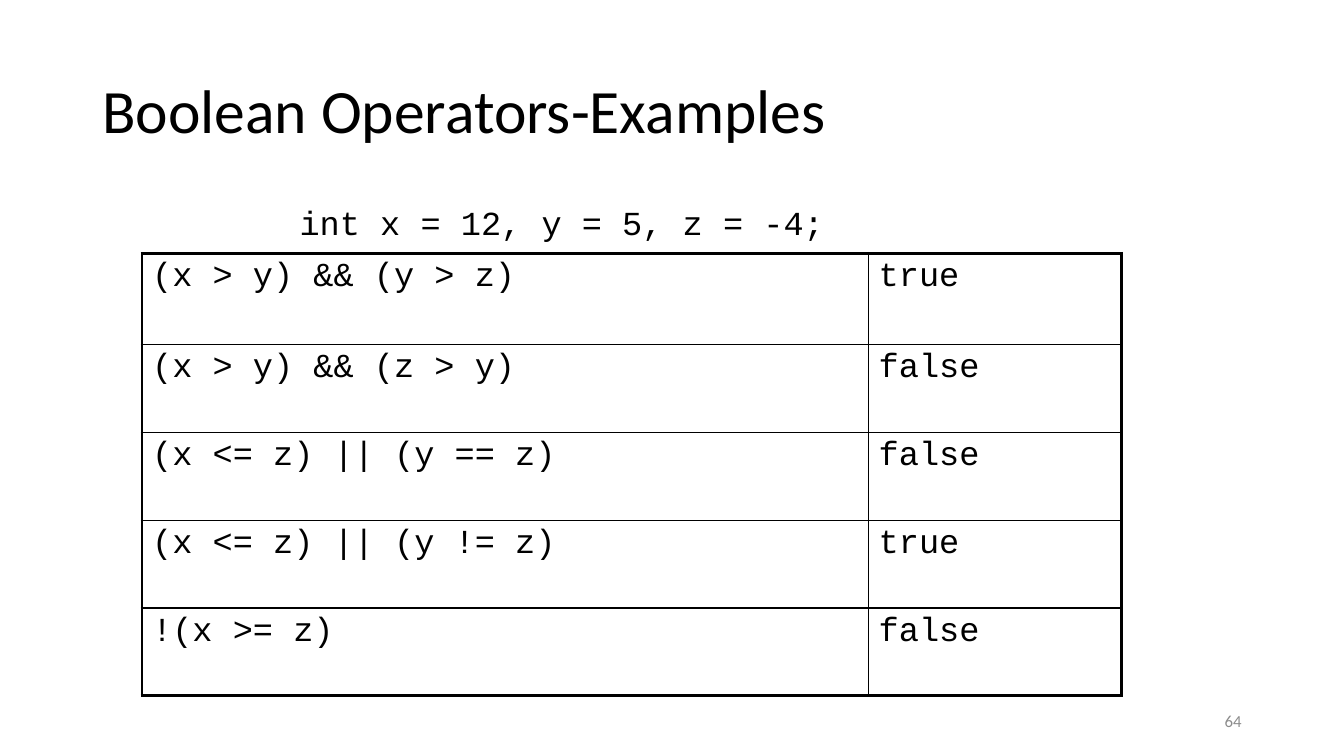
"""Build the slide of Boolean operator examples."""
from dataclasses import dataclass

from lxml import etree
from pptx import Presentation
from pptx.dml.color import RGBColor
from pptx.enum import text
from pptx.oxml import ns
from pptx.slide import Slide
from pptx.table import _Cell
from pptx.text.text import _Paragraph
from pptx.util import Cm, Pt


@dataclass(frozen=True)
class Style:
    font: str
    size: float
    color: str = "000000"


@dataclass(frozen=True)
class Theme:
    title: Style = Style("Calibri", 44)
    code: Style = Style("Courier New", 24)
    number: Style = Style("Calibri", 12, "8C8C8C")
    border: str = "000000"
    outer: float = 2.25
    inner: float = 1


@dataclass(frozen=True)
class Label:
    words: str
    left: float
    top: float
    width: float
    height: float
    style: Style
    anchor: text.MSO_ANCHOR = text.MSO_ANCHOR.MIDDLE
    align: text.PP_ALIGN = text.PP_ALIGN.LEFT
    spacing: float = 1
    before: float = 0


@dataclass(frozen=True)
class Example:
    expression: str
    result: str


THEME = Theme()
LABELS = [
    Label("Boolean Operators-Examples", 2.33, 1.01, 29.21, 3.68, THEME.title,
          spacing=0.9),
    Label("int x = 12, y = 5, z = -4;", 7.3, 5.16, 19.95, 1.1, THEME.code,
          anchor=text.MSO_ANCHOR.TOP, spacing=0.8, before=4.8),
    Label("64", 23.92, 17.66, 7.62, 1.01, THEME.number,
          align=text.PP_ALIGN.RIGHT),
]
EXAMPLES = [
    Example("(x > y) && (y > z)", "true"),
    Example("(x > y) && (z > y)", "false"),
    Example("(x <= z) || (y == z)", "false"),
    Example("(x <= z) || (y != z)", "true"),
    Example("!(x >= z)", "false"),
]
TABLE_LEFT, TABLE_TOP = 3.58, 6.38
COLUMN_WIDTHS = (18.31, 6.38)
FIRST_ROW, OTHER_ROWS = 2.31, 2.21


def apply_style(p: _Paragraph, style: Style) -> None:
    p.font.name = style.font
    p.font.size = Pt(style.size)
    p.font.color.rgb = RGBColor.from_string(style.color)


def add_label(slide: Slide, label: Label) -> None:
    sp = slide.shapes.add_textbox(Cm(label.left), Cm(label.top),
                                  Cm(label.width), Cm(label.height))
    tf = sp.text_frame
    tf.word_wrap = True
    tf.vertical_anchor = label.anchor
    p = tf.paragraphs[0]
    p.text = label.words
    p.alignment = label.align
    p.line_spacing = label.spacing
    p.space_before = Pt(label.before)
    apply_style(p, label.style)


def add_border(cell: _Cell, side: str, width: float) -> None:
    props = cell._tc.get_or_add_tcPr()
    line = etree.SubElement(props, ns.qn(f"a:ln{side}"), w=str(Pt(width)))
    fill = etree.SubElement(line, ns.qn("a:solidFill"))
    etree.SubElement(fill, ns.qn("a:srgbClr"), val=THEME.border)


def add_examples(slide: Slide, examples: list[Example]) -> None:
    rows, cols = len(examples), len(COLUMN_WIDTHS)
    heights = [FIRST_ROW] + [OTHER_ROWS] * (rows - 1)
    table = slide.shapes.add_table(rows, cols, Cm(TABLE_LEFT), Cm(TABLE_TOP),
                                   Cm(sum(COLUMN_WIDTHS)), Cm(sum(heights))).table
    table.first_row = table.horz_banding = False
    for column, width in zip(table.columns, COLUMN_WIDTHS):
        column.width = Cm(width)
    for i, (example, height) in enumerate(zip(examples, heights)):
        table.rows[i].height = Cm(height)
        for j, words in enumerate((example.expression, example.result)):
            cell = table.cell(i, j)
            p = cell.text_frame.paragraphs[0]
            p.text = words
            apply_style(p, THEME.code)
            outer = {"L": j == 0, "R": j == cols - 1,
                     "T": i == 0, "B": i == rows - 1}
            for side, is_outer in outer.items():
                add_border(cell, side, THEME.outer if is_outer else THEME.inner)
            cell.fill.background()


def main() -> None:
    prs = Presentation()
    prs.slide_width, prs.slide_height = Cm(33.87), Cm(19.05)
    slide = prs.slides.add_slide(prs.slide_layouts[6])
    for label in LABELS:
        add_label(slide, label)
    add_examples(slide, EXAMPLES)
    prs.save("out.pptx")


if __name__ == "__main__":
    main()
